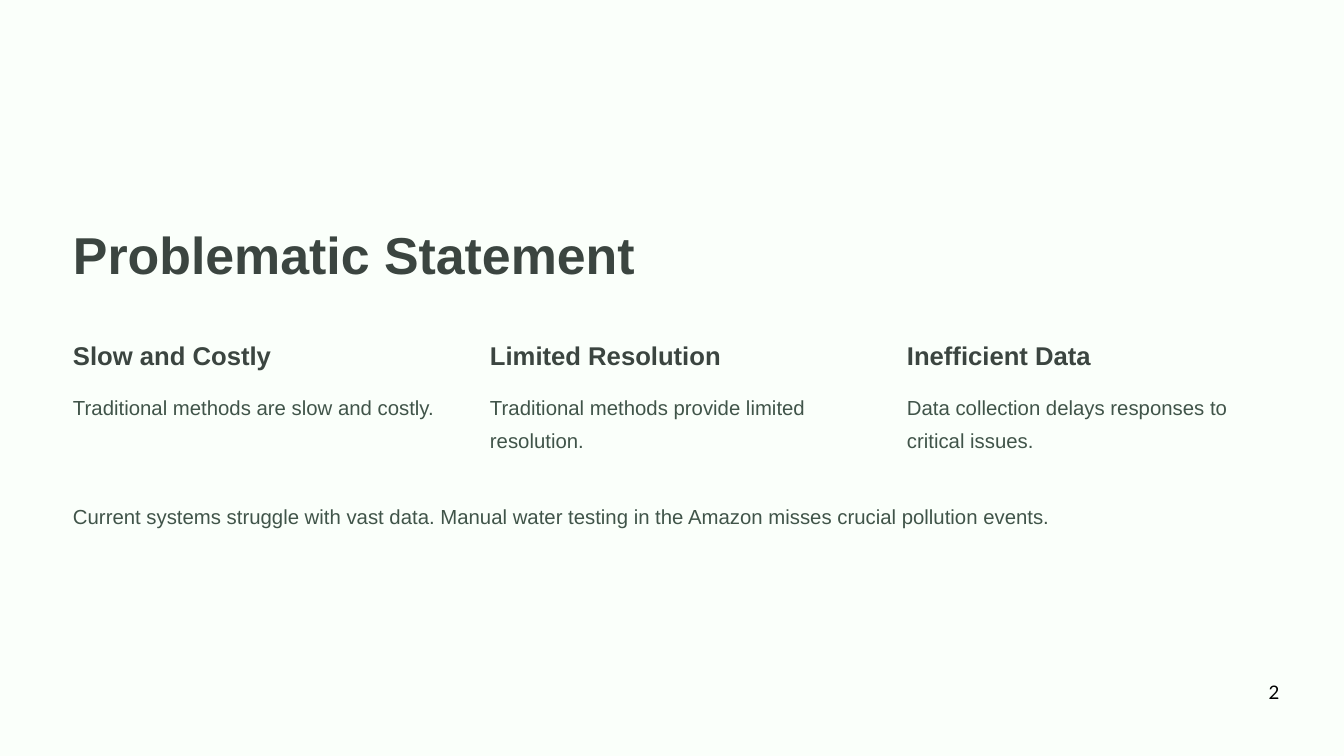
from pptx import Presentation
from pptx import util as u
from pptx.dml.color import RGBColor
from pptx.enum import shapes, text

PAPER = RGBColor(0xFA, 0xFF, 0xFA)
BACKDROP = RGBColor(0x2E, 0x2B, 0x21)
HEADING = RGBColor(0x3B, 0x45, 0x40)
BODY = RGBColor(0x40, 0x54, 0x49)
BLACK = RGBColor(0x00, 0x00, 0x00)

TITLE_STYLE = {"name": "Arial", "size": u.Pt(55.6), "bold": True}
HEADING_STYLE = {"name": "Arial", "size": u.Pt(27.5), "bold": True}
BODY_STYLE = {"name": "Arial", "size": u.Pt(21.8), "bold": False}
NUMBER_STYLE = {"name": "Lato", "size": u.Pt(20), "bold": False}

PAGE_WIDTH, PAGE_HEIGHT = 50.8, 28.58
LEFT = 2.76
COLUMN_STEP = 15.76
COLUMNS = [
    ("Slow and Costly", "Traditional methods are slow and costly."),
    ("Limited Resolution", "Traditional methods provide limited resolution."),
    ("Inefficient Data", "Data collection delays responses to critical issues."),
]


def add_text(page, box, words, style, color, leading, wrap=True,
             align=text.PP_ALIGN.LEFT):
    """Place one paragraph in a box given as left, top, width, height in cm."""
    frame = page.shapes.add_textbox(*map(u.Cm, box)).text_frame
    frame_format = {"margin_left": 0, "margin_top": 0, "margin_right": 0,
                    "margin_bottom": 0, "word_wrap": wrap}
    for name, value in frame_format.items():
        setattr(frame, name, value)
    para = frame.paragraphs[0]
    para.alignment = align
    para.line_spacing = u.Pt(leading)
    span = para.add_run()
    span.text = words
    for name, value in style.items():
        setattr(span.font, name, value)
    span.font.color.rgb = color


def add_paper(page, box):
    """Cover the backdrop with a plain sheet."""
    page.background.fill.solid()
    page.background.fill.fore_color.rgb = BACKDROP
    sheet = page.shapes.add_shape(shapes.MSO_SHAPE.RECTANGLE, *map(u.Cm, box))
    sheet.shadow.inherit = False
    sheet.fill.solid()
    sheet.fill.fore_color.rgb = PAPER
    sheet.line.fill.background()


def add_title(page, box):
    """Place the slide title."""
    add_text(page, box, "Problematic Statement", TITLE_STYLE, HEADING, 69.4)


def add_column(page, box, heading, body):
    """Place a heading with its explanation below it."""
    left, top, width, height = box
    offset = 1.83
    add_text(page, (left, top, 9.86, 1.24), heading, HEADING_STYLE, HEADING, 34.4)
    add_text(page, (left, top + offset, width, height - offset), body,
             BODY_STYLE, BODY, 35.6)


def add_summary(page, box):
    """Place the closing sentence."""
    add_text(page, box, "Current systems struggle with vast data. Manual water testing "
             "in the Amazon misses crucial pollution events.", BODY_STYLE, BODY, 35.6)


def add_page_number(page, box):
    """Place the page number."""
    add_text(page, box, "2", NUMBER_STYLE, BLACK, 28, wrap=False,
             align=text.PP_ALIGN.CENTER)


def main():
    """Build and save the slide."""
    deck = Presentation()
    deck.slide_width, deck.slide_height = u.Cm(PAGE_WIDTH), u.Cm(PAGE_HEIGHT)
    page = deck.slides.add_slide(deck.slide_layouts[6])
    add_paper(page, (0, 0, PAGE_WIDTH, PAGE_HEIGHT))
    add_title(page, (LEFT, 8.33, 23.22, 2.49))
    for index, (heading, body) in enumerate(COLUMNS):
        add_column(page, (LEFT + index * COLUMN_STEP, 12.78, 13.82, 4.57), heading, body)
    add_summary(page, (LEFT, 18.72, 45.29, 1.47))
    add_page_number(page, (47.95, 25.58, 0.38, 0.97))
    deck.save("out.pptx")


if __name__ == "__main__":
    main()
